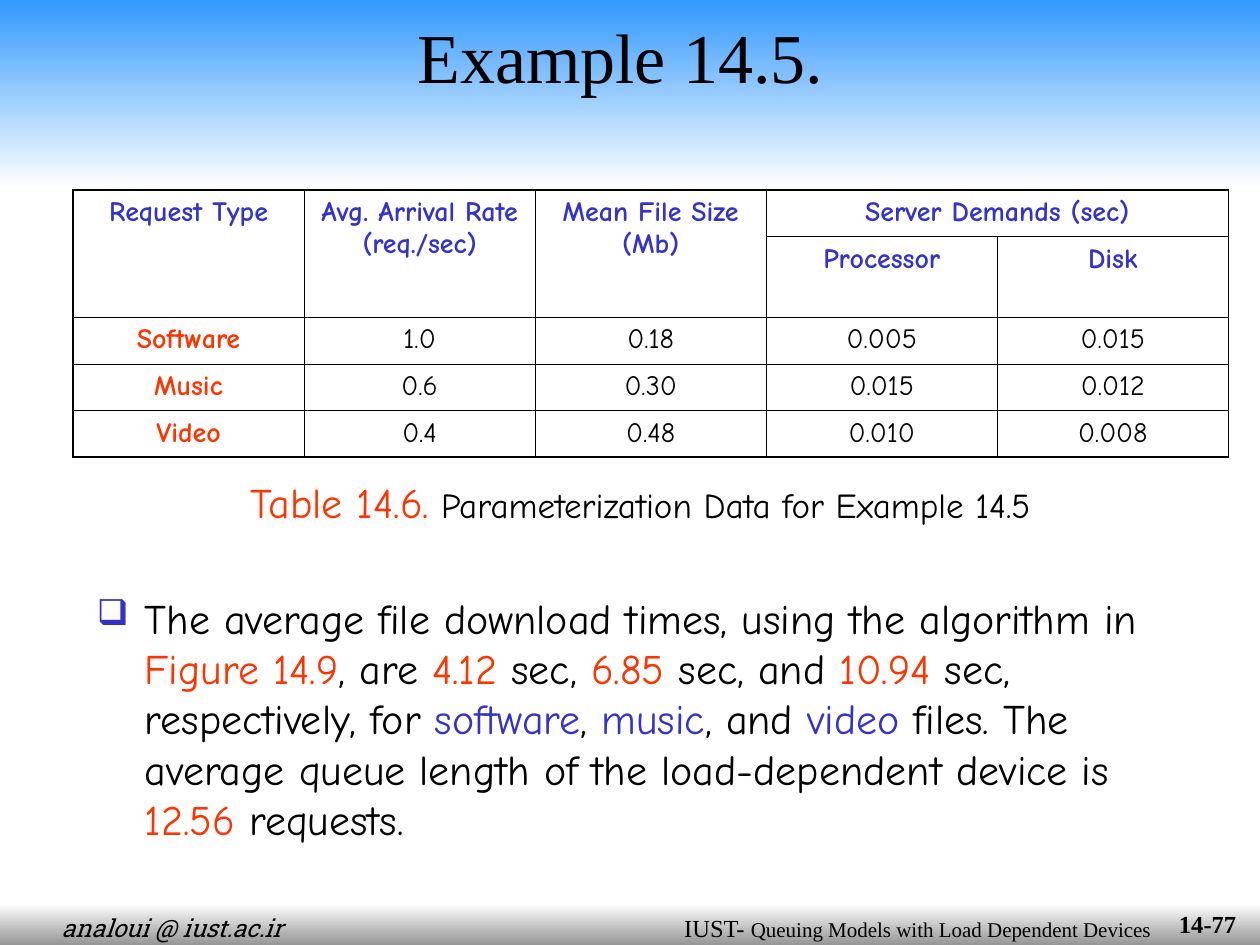
from dataclasses import dataclass
from typing import Any

from lxml.etree import SubElement
from pptx import Presentation
from pptx.dml.color import RGBColor
from pptx.enum.shapes import MSO_SHAPE
from pptx.enum.text import MSO_ANCHOR, PP_ALIGN
from pptx.oxml.ns import qn
from pptx.util import Inches, Pt

LEFT, CENTER = PP_ALIGN.LEFT, PP_ALIGN.CENTER
TOP, MIDDLE = MSO_ANCHOR.TOP, MSO_ANCHOR.MIDDLE
RECTANGLE = MSO_SHAPE.RECTANGLE
COLORS = {
    "black": "000000", "white": "FFFFFF", "gray": "969696",
    "sky": "3399FF", "blue": "3333CC", "red": "FF3300",
}
SERIF, SLAB, COMIC = "Times New Roman", "Roboto Slab", "Comic Neue"
COLUMN_WIDTH = 9.17 / 5
ROW_HEIGHTS = [0.37, 0.64, 0.37, 0.37, 0.37]
THIN, THICK = Pt(0.45), Pt(1.08)


@dataclass
class Run:
    text: str
    size: float
    font: str = COMIC
    color: str = "black"
    bold: bool = False
    italic: bool = False


@dataclass
class Box:
    left: float
    top: float
    width: float
    height: float

    def lengths(self) -> list[int]:
        return [Inches(v) for v in (self.left, self.top, self.width, self.height)]


def rgb(name: str) -> RGBColor:
    return RGBColor.from_string(COLORS[name])


def set_format(target: Any, values: dict[str, Any]) -> None:
    for attribute, value in values.items():
        setattr(target, attribute, value)


def write_runs(paragraph: Any, runs: list[Run], align: Any) -> None:
    paragraph.alignment = align
    for part in runs:
        run = paragraph.add_run()
        run.text = part.text
        set_format(run.font, {
            "size": Pt(part.size), "name": part.font,
            "bold": part.bold, "italic": part.italic,
        })
        run.font.color.rgb = rgb(part.color)


def fill_gradient(shape: Any, start: str, end: str) -> None:
    shape.fill.gradient()
    shape.fill.gradient_angle = 270
    for stop, color in zip(shape.fill.gradient_stops, (start, end)):
        stop.color.rgb = rgb(color)


def set_frame(frame: Any, left: float = 0.1, top: float = 0.05, right: float = 0.1,
              bottom: float = 0.05, anchor: Any = TOP) -> None:
    set_format(frame, {
        "word_wrap": True, "vertical_anchor": anchor,
        "margin_left": Inches(left), "margin_top": Inches(top),
        "margin_right": Inches(right), "margin_bottom": Inches(bottom),
    })


def add_footer_bar(slide: Any, box: Box) -> Any:
    bar = slide.shapes.add_shape(RECTANGLE, *box.lengths())
    bar.shadow.inherit = False
    bar.line.fill.background()
    fill_gradient(bar, "white", "gray")
    return bar.text_frame


def add_text(slide: Any, box: Box, runs: list[Run], align: Any) -> Any:
    frame = slide.shapes.add_textbox(*box.lengths()).text_frame
    set_frame(frame)
    write_runs(frame.paragraphs[0], runs, align)
    return frame.paragraphs[0]


def add_tab(paragraph: Any, position: float) -> None:
    tabs = SubElement(paragraph._p.get_or_add_pPr(), qn("a:tabLst"))
    SubElement(tabs, qn("a:tab"), pos=str(Inches(position)), algn="l")


def add_bullet(paragraph: Any, symbol: str, color: str, indent: float) -> None:
    properties = paragraph._p.get_or_add_pPr()
    properties.set("marL", str(Inches(indent)))
    properties.set("indent", str(-Inches(indent)))
    SubElement(SubElement(properties, qn("a:buClr")), qn("a:srgbClr"), val=COLORS[color])
    SubElement(properties, qn("a:buSzPct"), val="85000")
    SubElement(properties, qn("a:buChar"), char=symbol)


def draw_borders(cell: Any, widths: dict[str, int]) -> None:
    properties = cell._tc.get_or_add_tcPr()
    for side, width in widths.items():
        line = SubElement(properties, qn(f"a:ln{side}"), w=str(width))
        SubElement(SubElement(line, qn("a:solidFill")), qn("a:srgbClr"), val=COLORS["black"])


def add_demand_table(slide: Any, box: Box, rows: list[list[str]]) -> None:
    last_row, last_column = len(rows) - 1, len(rows[0]) - 1
    table = slide.shapes.add_table(len(rows), len(rows[0]), *box.lengths()).table
    set_format(table, {"first_row": False, "horz_banding": False})
    for column in table.columns:
        column.width = Inches(COLUMN_WIDTH)
    for row, height in zip(table.rows, ROW_HEIGHTS):
        row.height = Inches(height)
    for r, row in enumerate(rows):
        for c, text in enumerate(row):
            cell = table.cell(r, c)
            draw_borders(cell, {
                "L": THICK if c == 0 else THIN,
                "R": THICK if c == last_column else THIN,
                "T": THICK if r == 0 else THIN,
                "B": THICK if r == last_row else THIN,
            })
            cell.fill.background()
            if text:
                color = "blue" if r < 2 else "red" if c == 0 else "black"
                label = Run(text, 16, color=color, bold=color != "black")
                write_runs(cell.text_frame.paragraphs[0], [label], CENTER)
    for c in range(3):
        table.cell(0, c).merge(table.cell(1, c))
    table.cell(0, 3).merge(table.cell(0, 4))


def main() -> None:
    deck = Presentation()
    set_format(deck, {"slide_width": Inches(10), "slide_height": Inches(7.5)})
    slide = deck.slides.add_slide(deck.slide_layouts[5])

    title = slide.shapes.title
    title_box = Box(0, 0, 10, 1.5).lengths()
    set_format(title, dict(zip(("left", "top", "width", "height"), title_box)))
    fill_gradient(title, "sky", "white")
    set_frame(title.text_frame, top=0.11, right=0.25)
    write_runs(title.text_frame.paragraphs[0], [Run("Example 14.5.", 40, SERIF)], CENTER)

    footer = add_footer_bar(slide, Box(0, 7.17, 9.63, 0.33))
    set_frame(footer, left=0.49, top=0.06, right=0, bottom=0, anchor=MIDDLE)
    add_tab(footer.paragraphs[0], 4.94)
    write_runs(footer.paragraphs[0], [
        Run("analoui @ iust.ac.ir\t", 14, SLAB, italic=True),
        Run("IUST- ", 14, SERIF),
        Run("Queuing Models with Load Dependent Devices", 12, SERIF),
    ], LEFT)

    page_number = add_footer_bar(slide, Box(9.17, 7.17, 0.83, 0.33))
    set_frame(page_number, anchor=MIDDLE)
    write_runs(page_number.paragraphs[0], [Run("14-77", 14, SERIF, bold=True)], CENTER)

    add_demand_table(slide, Box(0.58, 1.51, 9.17, sum(ROW_HEIGHTS)), [
        ["Request Type", "Avg. Arrival Rate (req./sec)", "Mean File Size (Mb)",
         "Server Demands (sec)", ""],
        ["", "", "", "Processor", "Disk"],
        ["Software", "1.0", "0.18", "0.005", "0.015"],
        ["Music", "0.6", "0.30", "0.015", "0.012"],
        ["Video", "0.4", "0.48", "0.010", "0.008"],
    ])

    add_text(slide, Box(0.67, 3.73, 8.83, 0.5), [
        Run("Table 14.6.", 24, color="red"),
        Run(" Parameterization Data for Example 14.5", 20),
    ], CENTER)

    findings = [
        ("The average file download times, using the algorithm in ", "black"),
        ("Figure 14.9", "red"), (", are ", "black"),
        ("4.12", "red"), (" sec, ", "black"),
        ("6.85", "red"), (" sec, and ", "black"),
        ("10.94", "red"), (" sec, respectively, for ", "black"),
        ("software", "blue"), (", ", "black"),
        ("music", "blue"), (", and ", "black"),
        ("video", "blue"),
        (" files. The average queue length of the load-dependent device is ", "black"),
        ("12.56", "red"), (" requests.", "black"),
    ]
    runs = [Run(text, 24, color=color) for text, color in findings]
    finding = add_text(slide, Box(0.67, 4.65, 8.83, 2.18), runs, LEFT)
    add_bullet(finding, "❑", "blue", 0.38)

    deck.save("out.pptx")


if __name__ == "__main__":
    main()
